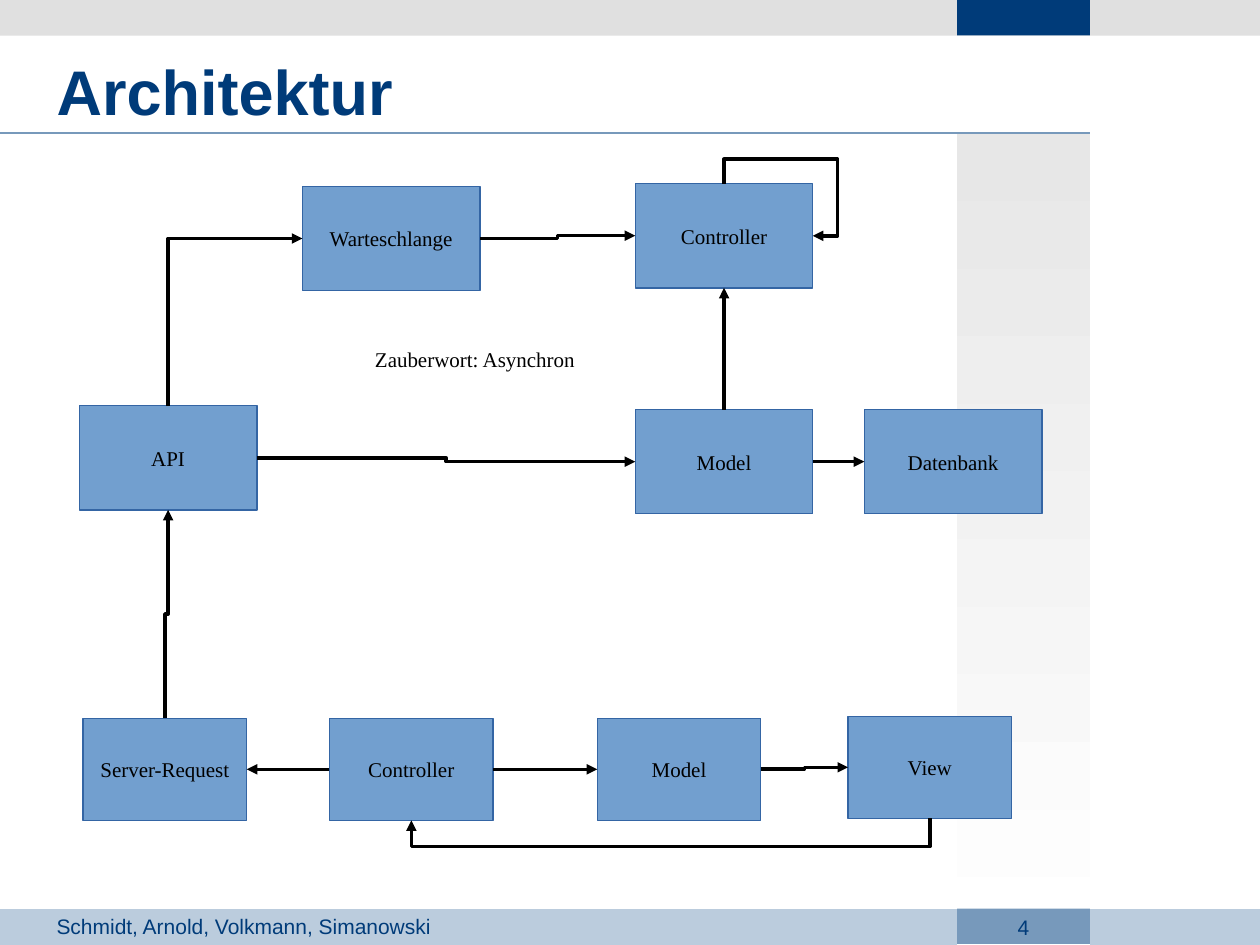
from lxml import etree
from pptx import Presentation
from pptx.dml.color import RGBColor
from pptx.enum.shapes import MSO_CONNECTOR, MSO_SHAPE
from pptx.enum.text import MSO_ANCHOR, MSO_AUTO_SIZE, PP_ALIGN
from pptx.oxml.ns import qn
from pptx.util import Pt

RECT = MSO_SHAPE.RECTANGLE
STRAIGHT, ELBOW = MSO_CONNECTOR.STRAIGHT, MSO_CONNECTOR.ELBOW
LEFT, CENTER = PP_ALIGN.LEFT, PP_ALIGN.CENTER
TOP, MIDDLE = MSO_ANCHOR.TOP, MSO_ANCHOR.MIDDLE

COLORS = {
    "navy": "003B79", "steel": "7799BB", "pale": "BBCCDD", "gray": "E0E0E0",
    "fade": "E7E7E7", "white": "FFFFFF", "box": "729FCF", "edge": "3465A4",
    "black": "000000",
}
SANS, SERIF = "Arial", "Times New Roman"

TITLE = "Architektur"
FOOTER = "Schmidt, Arnold, Volkmann, Simanowski"
NUMBER = "4"
NOTE = "Zauberwort: Asynchron"

COLUMN_X, COLUMN_W, BAR_H = 547, 75.8, 20.2
RULE_Y = 76.2
BARS = [
    (0, 519.6, 720, 20.4, "pale"),
    (0, 0, 720, 20.4, "gray"),
    (COLUMN_X, 0, COLUMN_W, BAR_H, "navy"),
    (COLUMN_X, RULE_Y, COLUMN_W, 463.8, "fade"),
    (COLUMN_X, 519.2, COLUMN_W, BAR_H, "steel"),
]

LARGE, SMALL = (101.5, 59.6), (93.5, 58.4)
BOXES = {
    "view": ("View", 484.6, 409.3, SMALL),
    "request_model": ("Model", 341.3, 410.4, SMALL),
    "request_controller": ("Controller", 188.3, 410.4, SMALL),
    "request": ("Server-Request", 47.5, 410.4, SMALL),
    "api": ("API", 45.3, 231.8, LARGE),
    "controller": ("Controller", 363, 104.9, LARGE),
    "model": ("Model", 363, 234, LARGE),
    "database": ("Datenbank", 493.9, 234, LARGE),
    "queue": ("Warteschlange", 172.8, 106.5, LARGE),
}

SITES = {"top": (0, 0.5, 0), "left": (1, 0, 0.5), "bottom": (2, 0.5, 1), "right": (3, 1, 0.5)}
ARROWS = [
    ("request_model", "right", "view", "left", "bentConnector3", [0.5]),
    ("request_controller", "right", "request_model", "left", "line", []),
    ("view", "bottom", "request_controller", "bottom", "bentConnector3", [14.5]),
    ("request_controller", "left", "request", "right", "line", []),
    ("request", "top", "api", "bottom", "bentConnector3", [0.5]),
    ("api", "right", "model", "left", "bentConnector3", [0.5]),
    ("model", "right", "database", "left", "line", []),
    ("api", "top", "queue", "left", "bentConnector2", []),
    ("queue", "right", "controller", "left", "bentConnector3", [0.5]),
    ("controller", "top", "controller", "right", "bentConnector4", [-0.47, 1.28]),
    ("model", "top", "controller", "bottom", "line", []),
]


def rgb(name):
    return RGBColor.from_string(COLORS[name])


def set_text(s, text, font, size, color, align=LEFT, anchor=TOP, wrap=True):
    tf = s.text_frame
    tf.text = text
    tf.word_wrap = wrap
    tf.auto_size = MSO_AUTO_SIZE.NONE
    tf.vertical_anchor = anchor
    p = tf.paragraphs[0]
    p.alignment = align
    r = p.runs[0]
    r.font.name, r.font.size = font, Pt(size)
    r.font.color.rgb = rgb(color)
    return r


def add_rect(x, y, w, h, fill):
    s = slide.shapes.add_shape(RECT, Pt(x), Pt(y), Pt(w), Pt(h))
    s.shadow.inherit = False
    s.fill.solid()
    s.fill.fore_color.rgb = rgb(fill)
    s.line.fill.background()
    return s


def add_label(x, y, w, h, *style, **options):
    s = slide.shapes.add_textbox(Pt(x), Pt(y), Pt(w), Pt(h))
    set_text(s, *style, **options)


def add_line(kind, start, end, color, width):
    s = slide.shapes.add_connector(kind, *(Pt(v) for v in start + end))
    s.line.color.rgb = rgb(color)
    s.line.width = Pt(width)
    etree.SubElement(s._element.spPr, qn("a:effectLst"))
    return s


def site_point(name, side):
    _, x, y, (w, h) = BOXES[name]
    _, fx, fy = SITES[side]
    return x + fx * w, y + fy * h


def bend(s, start, end, upright, preset, adjustments):
    dx, dy = end[0] - start[0], end[1] - start[1]
    along, across = (dy, -dx) if upright else (dx, dy)
    w, h = abs(along), abs(across)
    s.left = Pt((start[0] + end[0] - w) / 2)
    s.top = Pt((start[1] + end[1] - h) / 2)
    s.width, s.height = Pt(w), Pt(h)
    xfrm = s._element.spPr.find(qn("a:xfrm"))
    xfrm.set("rot", "5400000" if upright else "0")
    xfrm.set("flipH", str(int(along < 0)))
    xfrm.set("flipV", str(int(across < 0)))
    geometry = s._element.spPr.find(qn("a:prstGeom"))
    geometry.set("prst", preset)
    guides = geometry.find(qn("a:avLst"))
    for i, value in enumerate(adjustments, 1):
        etree.SubElement(guides, qn("a:gd"), name=f"adj{i}", fmla=f"val {round(value * 100000)}")


def add_arrow(source, out_side, target, in_side, preset, adjustments):
    start, end = site_point(source, out_side), site_point(target, in_side)
    s = add_line(STRAIGHT if preset == "line" else ELBOW, start, end, "black", 0)
    s.begin_connect(boxes[source], SITES[out_side][0])
    s.end_connect(boxes[target], SITES[in_side][0])
    if preset != "line":
        bend(s, start, end, out_side in ("top", "bottom"), preset, adjustments)
    etree.SubElement(s.line._get_or_add_ln(), qn("a:tailEnd"), type="triangle")


prs = Presentation()
prs.slide_width, prs.slide_height = Pt(720), Pt(540)
slide = prs.slides.add_slide(prs.slide_layouts[5])

for *frame, fill in BARS:
    s = add_rect(*frame, fill)
    if fill == "fade":
        s.fill.gradient()
        s.fill.gradient_angle = 270
        for stop, color, position in zip(s.fill.gradient_stops, ("fade", "white"), (0, 1)):
            stop.color.rgb = rgb(color)
            stop.position = position
add_line(STRAIGHT, (0, RULE_Y), (COLUMN_X + COLUMN_W, RULE_Y), "steel", 1)
add_label(25.2, 518.4, 420, 21.6, FOOTER, SANS, 12, "navy")
add_label(COLUMN_X, 519.2, COLUMN_W, 21.6, NUMBER, SANS, 12, "navy", align=CENTER)

boxes = {}
for name, (text, x, y, size) in BOXES.items():
    s = boxes[name] = add_rect(x, y, *size, "box")
    s.line.color.rgb = rgb("edge")
    s.line.width = Pt(0)
    set_text(s, text, SERIF, 12, "black", CENTER, MIDDLE, wrap=False)
for arrow in ARROWS:
    add_arrow(*arrow)
add_label(207.2, 194.4, 139.7, 21.6, NOTE, SERIF, 12, "black", wrap=False)

title = slide.shapes.title
title.left, title.top, title.width, title.height = Pt(25.2), Pt(31.7), Pt(521.3), Pt(39.6)
set_text(title, TITLE, SANS, 36, "navy", anchor=MIDDLE).font.bold = True

prs.save("out.pptx")
